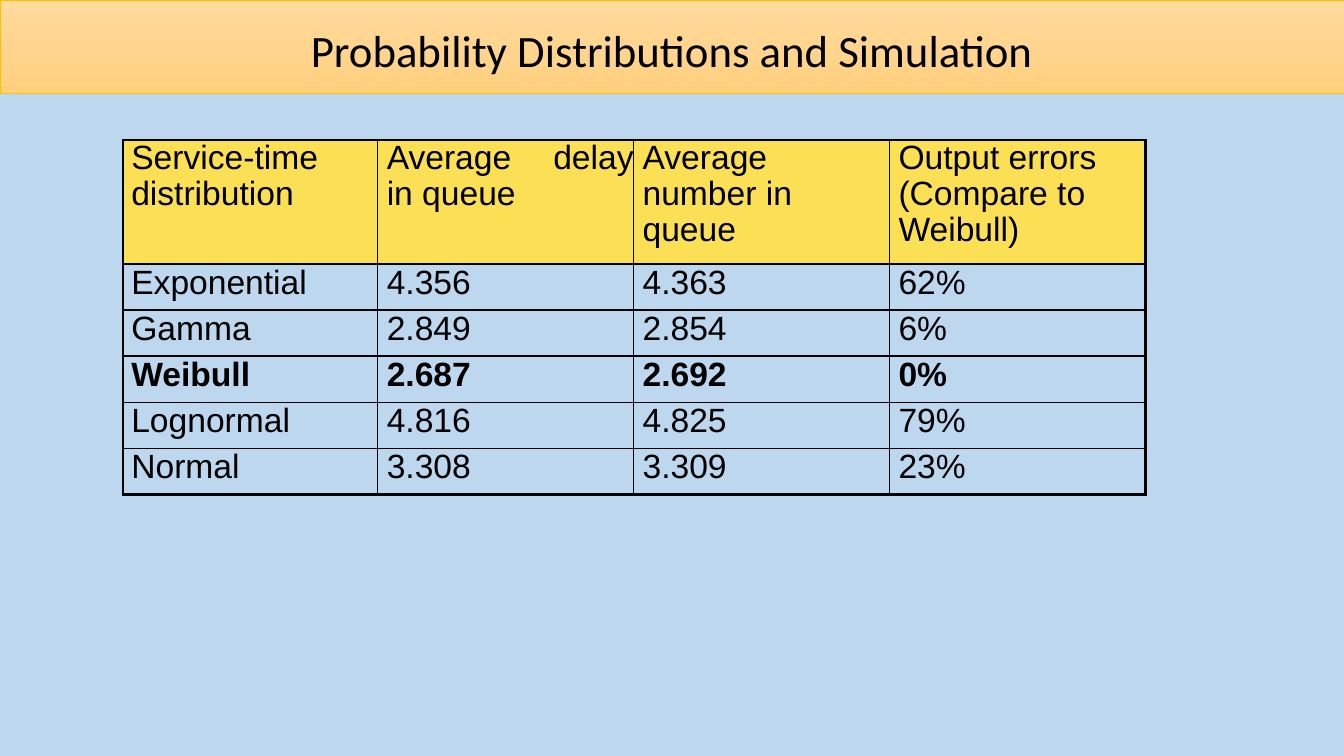
"""Build a slide comparing service-time distributions in a simulated queue."""
from copy import deepcopy

from lxml.etree import SubElement
from pptx import Presentation
from pptx.dml.color import RGBColor
from pptx.enum.text import MSO_ANCHOR as Anchor, PP_ALIGN as Align
from pptx.oxml.ns import qn
from pptx.util import Pt


def color(hex_code):
    return RGBColor.from_string(hex_code)


def draw_border(cell, side, width):
    line = SubElement(cell._tc.get_or_add_tcPr(), qn(f"a:ln{side}"), w=str(Pt(width)))
    fill = SubElement(line, qn("a:solidFill"))
    SubElement(fill, qn("a:srgbClr"), val="010101")


deck = Presentation()
deck.slide_width, deck.slide_height = Pt(960), Pt(540)
slide = deck.slides.add_slide(deck.slide_layouts[5])
slide.background.fill.solid()
slide.background.fill.fore_color.rgb = color("BDD7EE")

heading = slide.shapes.title
heading.left, heading.top, heading.width, heading.height = Pt(0), Pt(0), Pt(960), Pt(66.4)
heading.fill.gradient()
heading.fill.gradient_angle = 270
stop_list = heading._element.spPr.find(".//" + qn("a:gsLst"))
stop_list.insert(1, deepcopy(stop_list[0]))
shades = [(0, "FFDB9E"), (0.5, "FFD590"), (1, "FFD07C")]
for stop, (position, shade) in zip(heading.fill.gradient_stops, shades):
    stop.position = position
    stop.color.rgb = color(shade)
heading.line.color.rgb = color("FFC000")
heading.line.width = Pt(0.5)

heading_frame = heading.text_frame
heading_frame.text = "Probability Distributions and Simulation"
heading_format = {"margin_left": Pt(0), "margin_right": Pt(0), "margin_top": Pt(5),
                  "margin_bottom": Pt(0), "vertical_anchor": Anchor.MIDDLE, "word_wrap": True}
for name, value in heading_format.items():
    setattr(heading_frame, name, value)
heading_line = heading_frame.paragraphs[0]
heading_line.alignment = Align.CENTER
for name, value in {"name": "Calibri", "size": Pt(32), "bold": False}.items():
    setattr(heading_line.font, name, value)
heading_line.font.color.rgb = color("000000")

results = [
    ["Service-time distribution", "Average delay in queue", "Average number in queue",
     "Output errors (Compare to Weibull)"],
    ["Exponential", "4.356", "4.363", "62%"],
    ["Gamma", "2.849", "2.854", "6%"],
    ["Weibull", "2.687", "2.692", "0%"],
    ["Lognormal", "4.816", "4.825", "79%"],
    ["Normal", "3.308", "3.309", "23%"],
]
last_row, last_column = len(results) - 1, len(results[0]) - 1
comparison = slide.shapes.add_table(len(results), len(results[0]),
                                    Pt(87.8), Pt(100), Pt(730.4), Pt(253.1)).table
for flag in ("first_row", "horz_banding"):
    setattr(comparison, flag, False)
for column, width in zip(comparison.columns, [182, 182.8, 182.8, 182.8]):
    column.width = Pt(width)
for row, height in zip(comparison.rows, [88.6] + [32.9] * last_row):
    row.height = Pt(height)

for r, entries in enumerate(results):
    for c, entry in enumerate(entries):
        cell = comparison.cell(r, c)
        outer = {"L": c == 0, "R": c == last_column, "T": r == 0, "B": r == last_row}
        for side, is_outer in outer.items():
            draw_border(cell, side, 2.25 if is_outer else 1)
        if r == 0:
            cell.fill.solid()
            cell.fill.fore_color.rgb = color("FBDF54")
        else:
            cell.fill.background()
        for side in ("left", "right", "top", "bottom"):
            setattr(cell, f"margin_{side}", Pt(0))
        cell.text = entry
        line = cell.text_frame.paragraphs[0]
        line._p.get_or_add_pPr().set("marL", str(Pt(6 if c == 0 else 6.5)))
        if r == 0:
            line.line_spacing = 0.97
        if (r, c) == (0, 1):
            line.alignment = Align.JUSTIFY
        font_format = {"name": "Arial", "size": Pt(24), "bold": entries[0] == "Weibull"}
        for name, value in font_format.items():
            setattr(line.font, name, value)
        line.font.color.rgb = color("000000")

deck.save("out.pptx")
